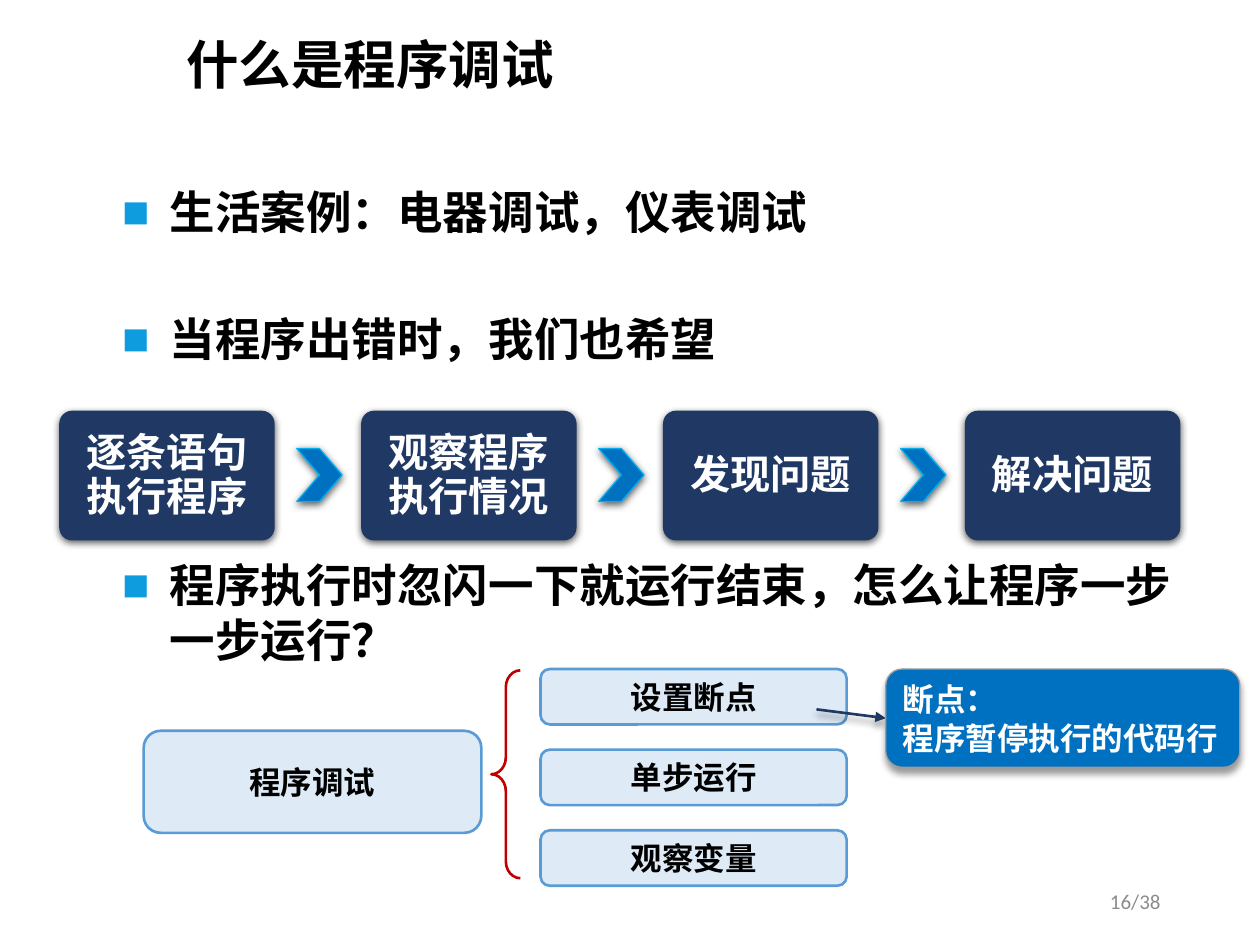
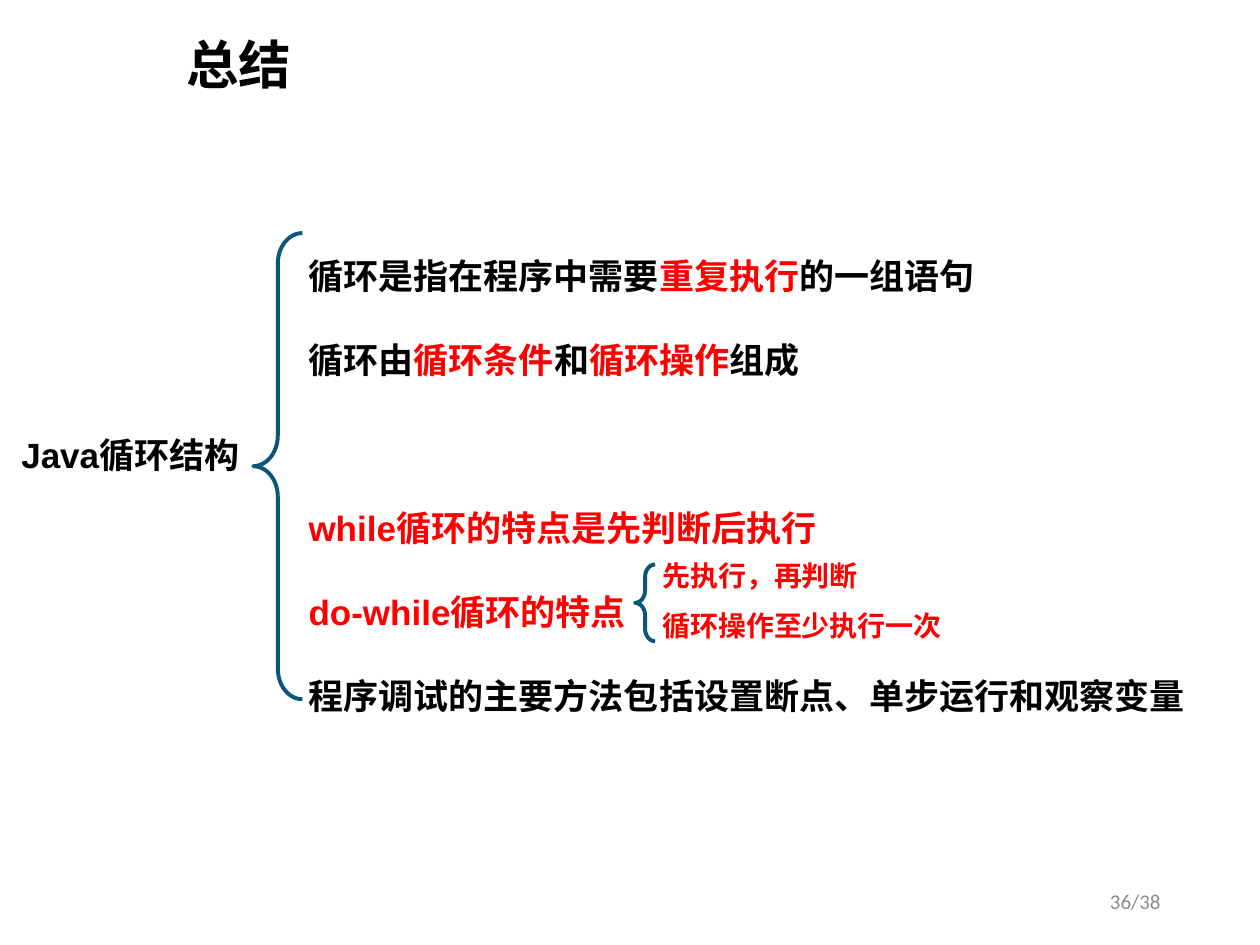
from lxml import etree
from pptx import Presentation
from pptx.dml.color import RGBColor
from pptx.enum.dml import MSO_LINE
from pptx.enum.shapes import MSO_CONNECTOR, MSO_SHAPE
from pptx.enum.text import MSO_ANCHOR, MSO_AUTO_SIZE, PP_ALIGN
from pptx.oxml.ns import qn
from pptx.util import Inches, Pt

ROUND, CHEVRON = MSO_SHAPE.ROUNDED_RECTANGLE, MSO_SHAPE.CHEVRON
BRACE, CALLOUT = MSO_SHAPE.LEFT_BRACE, MSO_SHAPE.ROUNDED_RECTANGULAR_CALLOUT
LEFT, CENTER, RIGHT = PP_ALIGN.LEFT, PP_ALIGN.CENTER, PP_ALIGN.RIGHT
TOP, MIDDLE = MSO_ANCHOR.TOP, MSO_ANCHOR.MIDDLE
STRAIGHT, SOLID, FIXED = MSO_CONNECTOR.STRAIGHT, MSO_LINE.SOLID, MSO_AUTO_SIZE.NONE

BLACK = RGBColor(0x00, 0x00, 0x00)
WHITE = RGBColor(0xFF, 0xFF, 0xFF)
RED = RGBColor(0xFF, 0x00, 0x00)
GRAY = RGBColor(0x8C, 0x8C, 0x8C)
NAVY = RGBColor(0x20, 0x38, 0x64)
BLUE = RGBColor(0x00, 0x70, 0xC0)
CYAN = RGBColor(0x00, 0xB0, 0xF0)
PALE = RGBColor(0xDE, 0xEB, 0xF7)
EDGE = RGBColor(0x5B, 0x9B, 0xD5)
SILVER = RGBColor(0x9D, 0x9D, 0x9D)
WINE = RGBColor(0xC0, 0x00, 0x00)
TEAL = RGBColor(0x08, 0x57, 0x7A)
MARK = RGBColor(0x0E, 0x9C, 0xDE)

SANS, BODY, LATIN = "Noto Sans CJK SC", "Calibri", "Arial"
COLS, ROWS, CELL = 100, 75, Inches(0.1)
SOFT = (63, 4.5, 1.5)
DEEP = (40, 4, 3)


def area(*cells):
    """Turn grid columns and rows into slide lengths."""
    return [round(n * CELL) for n in cells]


def add(parent, tag, **attrs):
    """Append a DrawingML element and return it."""
    node = etree.SubElement(parent, qn(tag))
    for key, value in attrs.items():
        node.set(key, str(value))
    return node


def shade(effects, alpha, blur, dist):
    """Put a soft downward shadow into an effect list."""
    node = add(effects, "a:outerShdw", blurRad=Pt(blur), dist=Pt(dist),
               dir=5400000, algn="ctr", rotWithShape=0)
    color = add(node, "a:srgbClr", val=BLACK)
    add(color, "a:alpha", val=alpha * 1000)


def bullet(para):
    """Give a paragraph a square bullet and a hanging indent."""
    props = para._p.get_or_add_pPr()
    props.set("marL", str(Inches(0.38)))
    props.set("indent", str(-Inches(0.38)))
    add(add(props, "a:buClr"), "a:srgbClr", val=MARK)
    add(props, "a:buFont", typeface=LATIN)
    add(props, "a:buChar", char="■")


def write(frame, lines, size, font, color=BLACK, bold=True, align=LEFT,
          pitch=None, gaps=(), marks=False):
    """Fill a frame with paragraphs; text between stars turns red."""
    for i, line in enumerate(lines):
        para = frame.paragraphs[0] if i == 0 else frame.add_paragraph()
        if marks:
            bullet(para)
        para.alignment = align
        para.space_before = Pt(gaps[i] if gaps else 0)
        if pitch:
            para.line_spacing = pitch
        style = para.font
        style.size, style.name, style.bold = Pt(size), font, bold
        style.color.rgb = color
        for j, part in enumerate(line.split("*")):
            if part:
                run = para.add_run()
                run.text = part
                if j % 2:
                    run.font.color.rgb = RED


def label(slide, spot, lines, size, font, anchor=TOP, **style):
    """Add a wrapped text box."""
    frame = slide.shapes.add_textbox(*area(*spot)).text_frame
    frame.word_wrap = True
    frame.vertical_anchor = anchor
    write(frame, lines, size, font, **style)


def shape(slide, kind, spot, fill=None, line=None, width=1.5, bends=(), shadow=None):
    """Add a preset shape with its fill, line and shadow."""
    item = slide.shapes.add_shape(kind, *area(*spot))
    for i, bend in enumerate(bends):
        item.adjustments[i] = bend
    if fill is None:
        item.fill.background()
    else:
        item.fill.solid()
        item.fill.fore_color.rgb = fill
    if line is None:
        item.line.fill.background()
    else:
        item.line.color.rgb = line
        item.line.width = Pt(width)
    item.shadow.inherit = False
    if shadow:
        shade(item._element.spPr.find(qn("a:effectLst")), *shadow)
    item.text_frame.vertical_anchor = MIDDLE
    return item


def node(slide, spot, name):
    """Add a pale rounded box with a centred name."""
    box = shape(slide, ROUND, spot, PALE, EDGE)
    write(box.text_frame, [name], 18, SANS, align=CENTER)


def arrow(slide, start, end):
    """Add a shadowed line with a triangle at its end."""
    link = slide.shapes.add_connector(STRAIGHT, *area(*start, *end))
    link.line.color.rgb = NAVY
    link.line.width = Pt(1.5)
    link.line.dash_style = SOLID
    add(link.line._get_or_add_ln(), "a:tailEnd", type="triangle")
    shade(add(link._element.spPr, "a:effectLst"), *DEEP)


def chain(slide, steps):
    """Add a row of step boxes joined by chevrons."""
    for i, step in enumerate(steps):
        left = 4.7 + i * 23.96
        if i:
            shape(slide, CHEVRON, (left - 5.1, 35.6, 3.6, 4.2), BLUE, CYAN, 0.75,
                  shadow=SOFT)
        box = shape(slide, ROUND, (left, 32.6, 17.1, 10.3), NAVY, bends=[0.1],
                    shadow=SOFT)
        frame = box.text_frame
        frame.margin_left = frame.margin_right = Inches(0.13)
        write(frame, [step], 23, BODY, WHITE, align=CENTER, pitch=Pt(25))


def page(deck, name, number):
    """Add a slide with its title and page number."""
    slide = deck.slides.add_slide(deck.slide_layouts[5])
    title = slide.shapes.title
    title.left, title.top, title.width, title.height = area(13.8, 1, 86.2, 8.7)
    frame = title.text_frame
    frame.auto_size = FIXED
    frame.vertical_anchor = MIDDLE
    write(frame, [name], 30, SANS, pitch=0.9)
    label(slide, (70.6, 69.5, 22.5, 4), [f"{number}/38"], 12, BODY, MIDDLE,
          color=GRAY, bold=False, align=RIGHT)
    return slide


def debug(deck):
    """Build the slide on debugging."""
    slide = page(deck, "什么是程序调试", 16)
    label(slide, (8.7, 14.1, 88.2, 37.8),
          ["生活案例：电器调试，仪表调试", "当程序出错时，我们也希望",
           "程序执行时忽闪一下就运行结束，怎么让程序一步一步运行？"],
          26, BODY, pitch=Pt(31.5), gaps=(0, 41, 109), marks=True)
    chain(slide, ["逐条语句执行程序", "观察程序执行情况", "发现问题", "解决问题"])
    node(slide, (11.4, 58, 26.8, 8.1), "程序调试")
    shape(slide, BRACE, (39, 53.2, 2.3, 16.5), line=WINE, bends=(0.583, 0.5))
    for i, name in enumerate(["设置断点", "单步运行", "观察变量"]):
        node(slide, (42.9, 53.1 + i * 6.4, 24.3, 4.4), name)
    arrow(slide, (64.8, 56.3), (70.3, 57))
    note = shape(slide, CALLOUT, (70.3, 53.1, 28.1, 7.8), BLUE, SILVER, 0.75,
                 (-0.5, -0.189, 0.167), DEEP)
    note.text_frame.word_wrap = False
    write(note.text_frame, ["断点：", "程序暂停执行的代码行"], 18, LATIN, WHITE,
          pitch=Pt(22))


def recap(deck):
    """Build the summary slide."""
    slide = page(deck, "总结", 36)
    label(slide, (23.5, 16.4, 71.8, 44.8),
          ["循环是指在程序中需要*重复执行*的一组语句",
           "循环由*循环条件*和*循环操作*组成",
           "*while循环的特点是先判断后执行*",
           "*do-while循环的特点*",
           "程序调试的主要方法包括设置断点、单步运行和观察变量"],
          20, LATIN, pitch=Pt(48), gaps=(0, 0, 48, 0, 0))
    label(slide, (0.4, 33.9, 19.9, 4.4), ["Java循环结构"], 20, LATIN,
          align=CENTER, pitch=Pt(24))
    shape(slide, BRACE, (20.1, 18.5, 3.9, 37), line=TEAL, width=2.25,
          bends=(0.621, 0.5))
    shape(slide, BRACE, (50.4, 44.8, 1.6, 6.1), line=TEAL, width=2.25,
          bends=(0.619, 0.5))
    label(slide, (51.6, 43.8, 29.7, 7.7), ["先执行，再判断", "循环操作至少执行一次"],
          16, BODY, color=RED, pitch=Pt(19.5), gaps=(0, 9))


def main():
    """Build and save the deck."""
    deck = Presentation()
    deck.slide_width, deck.slide_height = area(COLS, ROWS)
    debug(deck)
    recap(deck)
    deck.save("out.pptx")


if __name__ == "__main__":
    main()
